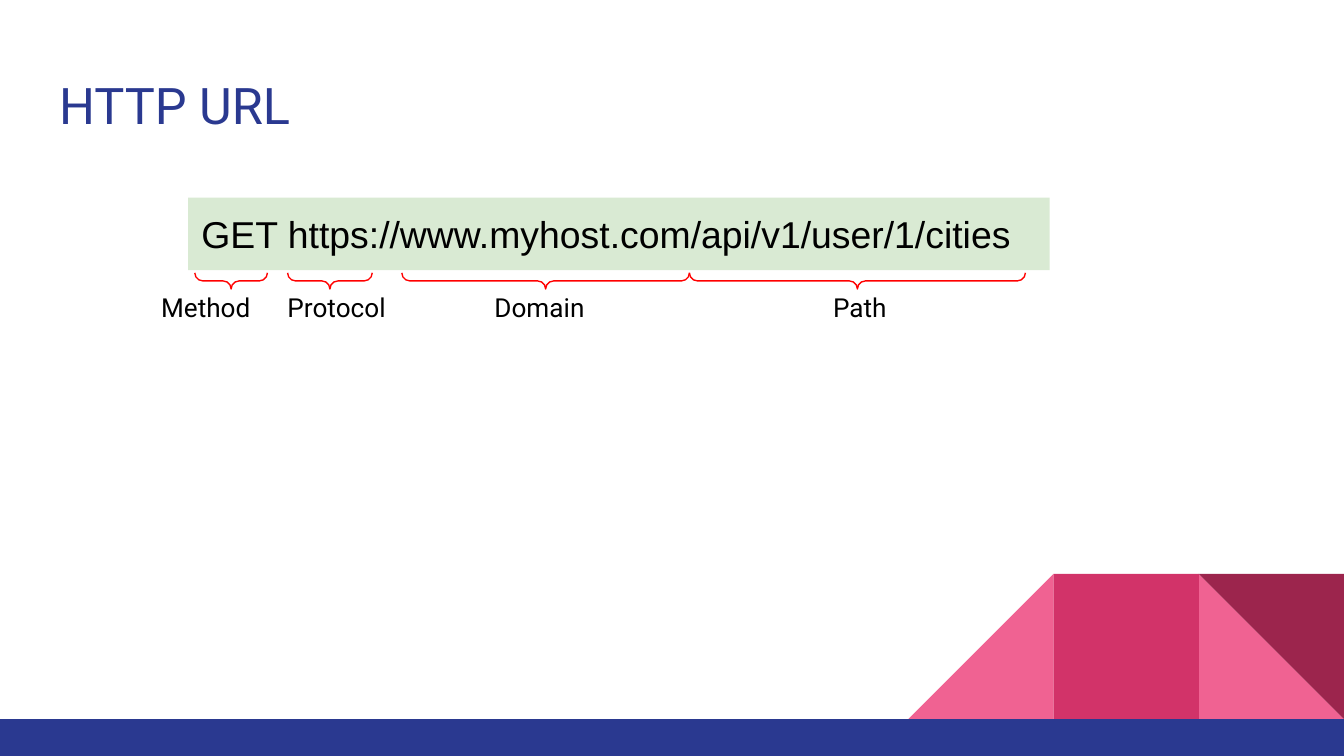
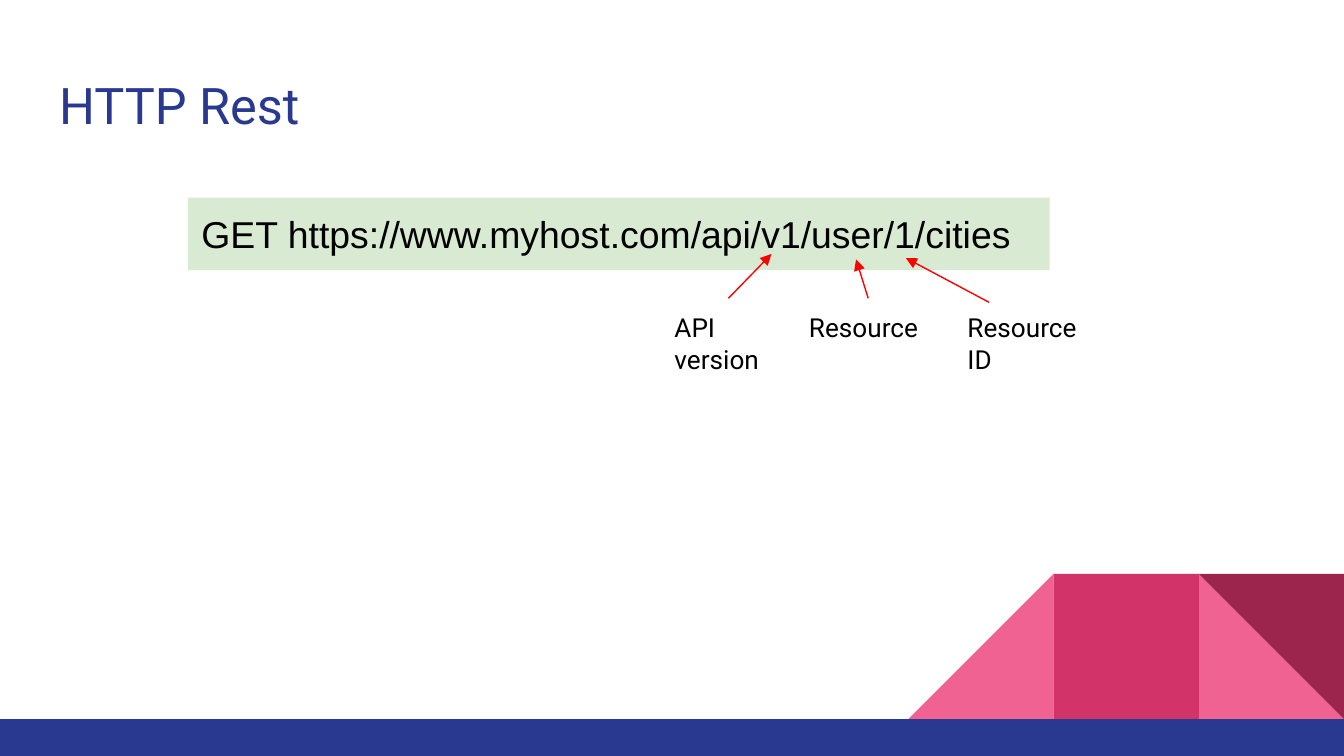
"""Build two slides that explain the parts of an HTTP request URL."""
import dataclasses
import typing

import pptx
import pptx.dml.color
import pptx.enum.shapes
import pptx.enum.text
import pptx.oxml.ns
import pptx.oxml.xmlchemy
import pptx.util
from lxml import etree

SHAPE = pptx.enum.shapes.MSO_SHAPE
ANCHOR = pptx.enum.text.MSO_ANCHOR
AUTO = pptx.enum.text.MSO_AUTO_SIZE


@dataclasses.dataclass(frozen=True)
class Theme:
    """Colours, fonts and type sizes of the deck."""
    navy: str = "2A3990"
    pink: str = "F06292"
    rose: str = "D23369"
    wine: str = "9C254D"
    green: str = "D9EAD3"
    red: str = "FF0000"
    black: str = "000000"
    head_font: str = "Roboto"
    url_font: str = "Arial"
    title_size: float = 27
    url_size: float = 20
    label_size: float = 14
    line_width: float = 0.75


class Box(typing.NamedTuple):
    """A rectangle in grid cells."""
    x: float
    y: float
    w: float
    h: float


class Label(typing.NamedTuple):
    """A caption and the cells it covers."""
    text: str
    box: Box


class Span(typing.NamedTuple):
    """The first and last column of a brace."""
    start: float
    end: float


class Arrow(typing.NamedTuple):
    """The two ends of an arrow, in grid cells."""
    x1: float
    y1: float
    x2: float
    y2: float


class Block(typing.NamedTuple):
    """One corner block, counted in blocks from the right edge."""
    place: int
    shape: int
    color: str
    rotation: float = 0
    flip: bool = False


T = Theme()
WIDTH, HEIGHT = pptx.util.Inches(10), pptx.util.Inches(5.625)
COLS = 100
ROWS = COLS * HEIGHT / WIDTH
BAND_TOP = 53.5
BLOCK = 10.8
BRACE_TOP, BRACE_DEPTH = 20.3, 1.2
TITLE_BOX = Box(3.4, 4.5, 93.2, 6.6)
URL_BOX = Box(14, 14.7, 64.1, 5.4)
URL = "GET https://www.myhost.com/api/v1/user/1/cities"
ONE_LINE, TWO_LINES = 4.4, 6.7

BLOCKS = (
    Block(1, SHAPE.RIGHT_TRIANGLE, T.pink),
    Block(3, SHAPE.RIGHT_TRIANGLE, T.pink, flip=True),
    Block(2, SHAPE.RECTANGLE, T.rose),
    Block(1, SHAPE.RIGHT_TRIANGLE, T.wine, rotation=180),
)
URL_LABELS = (
    Label("Method", Box(11, 20.7, 9.6, ONE_LINE)),
    Label("Protocol", Box(20.4, 20.7, 10.9, ONE_LINE)),
    Label("Domain", Box(35.8, 20.7, 10.9, ONE_LINE)),
    Label("Path", Box(61, 20.7, 6.3, ONE_LINE)),
)
URL_SPANS = (Span(14.5, 19.9), Span(21.4, 27.7), Span(29.9, 51.3), Span(51.3, 76.3))
REST_LABELS = (
    Label("API version", Box(49.2, 22.2, 10, TWO_LINES)),
    Label("Resource", Box(59.2, 22.2, 10.8, ONE_LINE)),
    Label("Resource ID", Box(71, 22.2, 10.8, TWO_LINES)),
)
REST_ARROWS = (
    Arrow(54.2, 22.2, 57.4, 18.9),
    Arrow(64.6, 22.2, 63.7, 19.3),
    Arrow(73.6, 22.5, 67.4, 19.2),
)


def cells(*values: float) -> list[int]:
    """Turn grid cells into slide lengths."""
    return [round(v * WIDTH / COLS) for v in values]


def rgb(color: str) -> pptx.dml.color.RGBColor:
    """Return the colour object for a hex code."""
    return pptx.dml.color.RGBColor.from_string(color)


def write(sp, text: str, font: str, size: float, color: str,
          anchor=ANCHOR.TOP, auto=AUTO.SHAPE_TO_FIT_TEXT) -> None:
    """Put one left-aligned paragraph into a shape."""
    tf = sp.text_frame
    tf.text = text
    tf.word_wrap = True
    tf.auto_size = auto
    tf.vertical_anchor = anchor
    tf.margin_left, tf.margin_top, tf.margin_right, tf.margin_bottom = cells(1, 1, 1, 1)
    p = tf.paragraphs[0]
    p.alignment = pptx.enum.text.PP_ALIGN.LEFT
    p.font.name, p.font.size = font, pptx.util.Pt(size)
    p.font.color.rgb = rgb(color)


def add_fill(s, shape: int, box: Box, color: str):
    """Draw a flat filled shape without outline."""
    sp = s.shapes.add_shape(shape, *cells(*box))
    sp.shadow.inherit = False
    sp.fill.solid()
    sp.fill.fore_color.rgb = rgb(color)
    sp.line.fill.background()
    return sp


def add_corner(s) -> None:
    """Draw the corner blocks and the bottom band."""
    for block in BLOCKS:
        box = Box(COLS - block.place * BLOCK, BAND_TOP - BLOCK, BLOCK, BLOCK)
        sp = add_fill(s, block.shape, box, block.color)
        sp.rotation = block.rotation
        if block.flip:
            sp._element.spPr.find(pptx.oxml.ns.qn("a:xfrm")).set("flipH", "1")
    add_fill(s, SHAPE.RECTANGLE, Box(0, BAND_TOP, COLS, ROWS - BAND_TOP), T.navy)


def add_label(s, label: Label) -> None:
    """Write a caption."""
    sp = s.shapes.add_textbox(*cells(*label.box))
    write(sp, label.text, T.head_font, T.label_size, T.black)


def add_brace(s, span: Span) -> None:
    """Draw a brace that opens upward over a span of columns."""
    length = span.end - span.start
    x = (span.start + span.end - BRACE_DEPTH) / 2
    y = BRACE_TOP + (BRACE_DEPTH - length) / 2
    sp = s.shapes.add_shape(SHAPE.LEFT_BRACE, *cells(x, y, BRACE_DEPTH, length))
    sp.shadow.inherit = False
    sp.rotation = 270
    sp.adjustments[0] = sp.adjustments[1] = 0.5
    sp.fill.background()
    sp.line.color.rgb = rgb(T.red)
    sp.line.width = pptx.util.Pt(T.line_width)


def add_arrow(s, arrow: Arrow) -> None:
    """Draw a straight arrow with a triangle head."""
    sp = s.shapes.add_connector(pptx.enum.shapes.MSO_CONNECTOR.STRAIGHT, *cells(*arrow))
    sp.line.color.rgb = rgb(T.red)
    sp.line.width = pptx.util.Pt(T.line_width)
    qn = pptx.oxml.ns.qn
    etree.SubElement(sp.line._get_or_add_ln(), qn("a:tailEnd"), type="triangle")
    etree.SubElement(sp._element.spPr, qn("a:effectLst"))


def add_slide(prs, title: str, labels: tuple[Label, ...]):
    """Add a slide with its title, corner, URL bar and captions."""
    s = prs.slides.add_slide(prs.slide_layouts[5])
    sp = s.shapes.title
    sp.left, sp.top, sp.width, sp.height = cells(*TITLE_BOX)
    write(sp, title, T.head_font, T.title_size, T.navy, ANCHOR.MIDDLE, AUTO.NONE)
    add_corner(s)
    bar = add_fill(s, SHAPE.RECTANGLE, URL_BOX, T.green)
    write(bar, URL, T.url_font, T.url_size, T.black)
    for label in labels:
        add_label(s, label)
    return s


def main() -> None:
    """Build and save the deck."""
    prs = pptx.Presentation()
    prs.slide_width, prs.slide_height = WIDTH, HEIGHT
    s = add_slide(prs, "HTTP URL", URL_LABELS)
    for span in URL_SPANS:
        add_brace(s, span)
    s = add_slide(prs, "HTTP Rest", REST_LABELS)
    for arrow in REST_ARROWS:
        add_arrow(s, arrow)
    prs.save("out.pptx")


main()
